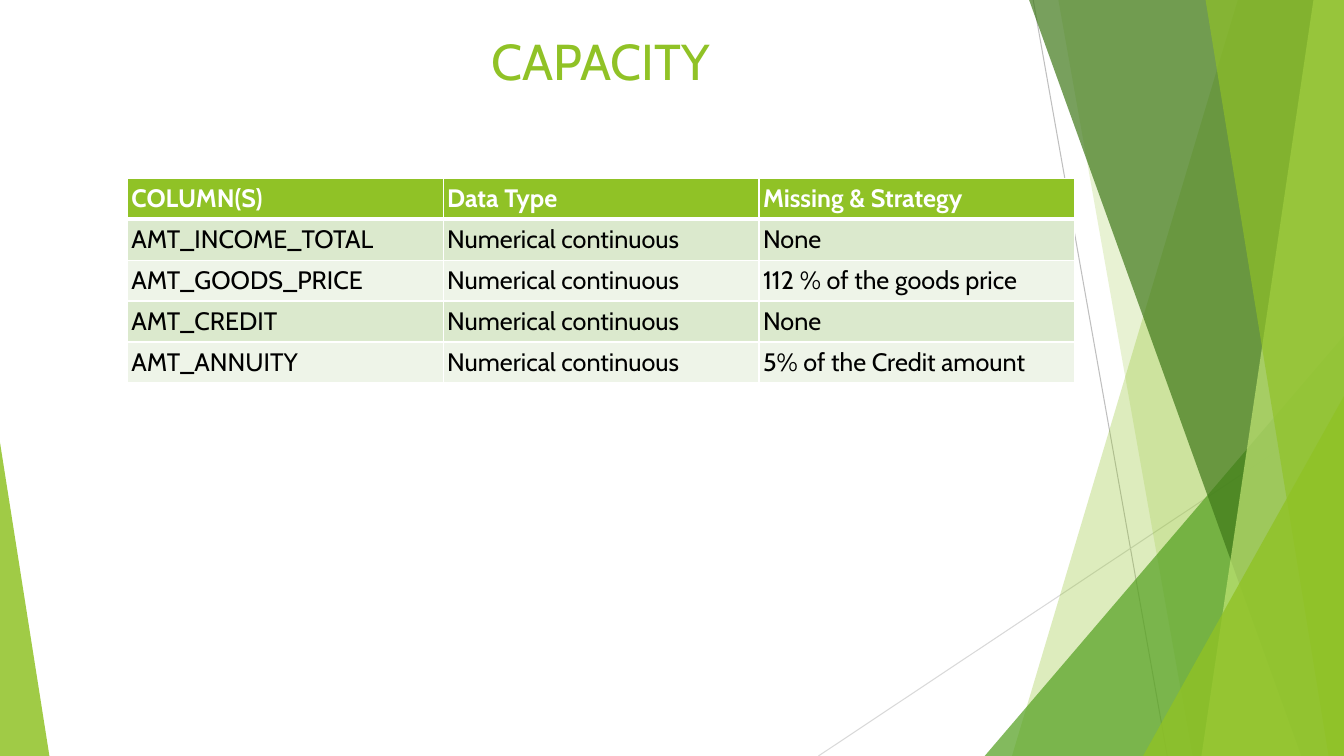
from lxml import etree
from pptx import Presentation
from pptx import util as u
from pptx.dml import color
from pptx.enum import shapes, text
from pptx.oxml import ns

COLORS = {
    "white": "FFFFFF", "black": "000000",
    "lime": "90C226", "green": "54A021", "forest": "3F7819", "pale": "C0E474",
    "grey": "BFBFBF", "light grey": "D9D9D9",
    "band dark": "DBE9CD", "band light": "EEF4E8",
}
FONT = "Cabin"
WIDTH, HEIGHT = 960, 540


def paint(shape, name, opacity):
    """Give a shape a translucent fill without outline or shadow."""
    shape.shadow.inherit = False
    shape.line.fill.background()
    shape.fill.solid()
    shape.fill.fore_color.rgb = color.RGBColor.from_string(COLORS[name])
    rgb = shape.fill._xPr.find(".//" + ns.qn("a:srgbClr"))
    etree.SubElement(rgb, ns.qn("a:alpha"), val=str(opacity * 1000))


def write(paragraph, wording, size, name, bold=False):
    run = paragraph.add_run()
    run.text = wording
    run.font.name = FONT
    run.font.size = u.Pt(size)
    run.font.bold = bold
    run.font.color.rgb = color.RGBColor.from_string(COLORS[name])


presentation = Presentation()
presentation.slide_width = u.Pt(WIDTH)
presentation.slide_height = u.Pt(HEIGHT)
slide = presentation.slides.add_slide(presentation.slide_layouts[5])

# Thin crossing lines
for x1, y1, x2, y2, name in [
    (738, 0, 833.8, HEIGHT, "grey"),
    (WIDTH, 290.2, 584.6, HEIGHT, "light grey"),
]:
    line = slide.shapes.add_connector(
        shapes.MSO_CONNECTOR.STRAIGHT, u.Pt(x1), u.Pt(y1), u.Pt(x2), u.Pt(y2))
    line.line.width = u.Pt(0.75)
    line.line.color.rgb = color.RGBColor.from_string(COLORS[name])
    etree.SubElement(line._element.spPr, ns.qn("a:effectLst"))

# Facets: bands (top x, bottom x) run to the right edge;
# triangles (left, top, width, apex) stand on the bottom edge
for kind, measures, name, opacity in [
    ("band", (884.2, 722.9), "lime", 30),
    ("band", (756, 851.8), "lime", 20),
    ("triangle", (703.4, 239.8, 256.6, 1), "green", 72),
    ("band", (735.1, 929.5), "forest", 70),
    ("band", (938.2, 858.2), "pale", 70),
    ("band", (861.1, 949), "lime", 65),
    ("triangle", (816.5, 283, 143.5, 1), "lime", 80),
    ("triangle", (0, 316.1, 35.3, 0), "lime", 85),
]:
    if kind == "band":
        top_x, bottom_x = measures
        outline = slide.shapes.build_freeform(u.Pt(top_x), 0)
        outline.add_line_segments(
            [(u.Pt(x), u.Pt(y)) for x, y in
             [(WIDTH, 0), (WIDTH, HEIGHT), (bottom_x, HEIGHT)]], close=True)
        facet = outline.convert_to_shape()
    else:
        left, top, width, apex = measures
        facet = slide.shapes.add_shape(
            shapes.MSO_SHAPE.ISOSCELES_TRIANGLE,
            u.Pt(left), u.Pt(top), u.Pt(width), u.Pt(HEIGHT - top))
        facet.adjustments[0] = apex
    paint(facet, name, opacity)

# Title, brought in front of the facets
title = slide.shapes.title
slide.shapes._spTree.append(title._element)
title.left, title.top = u.Pt(15), u.Pt(18)
title.width, title.height = u.Pt(828), u.Pt(63.4)
frame = title.text_frame
frame.auto_size = text.MSO_AUTO_SIZE.NONE
frame.vertical_anchor = text.MSO_ANCHOR.TOP
frame.paragraphs[0].alignment = text.PP_ALIGN.CENTER
write(frame.paragraphs[0], "CAPACITY", 36, "lime")

# Table
rows = [
    ("COLUMN(S)", "Data Type", "Missing & Strategy"),
    ("AMT_INCOME_TOTAL", "Numerical continuous", "None"),
    ("AMT_GOODS_PRICE", "Numerical continuous", "112 % of the goods price"),
    ("AMT_CREDIT", "Numerical continuous", "None"),
    ("AMT_ANNUITY", "Numerical continuous", "5% of the Credit amount"),
]
COLUMN_WIDTH, ROW_HEIGHT = 225.6, 29.25
table = slide.shapes.add_table(
    len(rows), 3, u.Pt(91), u.Pt(127.4),
    u.Pt(3 * COLUMN_WIDTH), u.Pt(len(rows) * ROW_HEIGHT)).table
for column in table.columns:
    column.width = u.Pt(COLUMN_WIDTH)
for r, wordings in enumerate(rows):
    header = r == 0
    fill = "lime" if header else "band dark" if r % 2 else "band light"
    table.rows[r].height = u.Pt(ROW_HEIGHT)
    for c, wording in enumerate(wordings):
        cell = table.cell(r, c)
        cell.margin_left = cell.margin_right = u.Pt(2.9)
        cell.margin_top = cell.margin_bottom = u.Pt(2.9)
        cell.vertical_anchor = text.MSO_ANCHOR.MIDDLE
        # White borders, thick between the header and the body
        for side in ("L", "R", "T", "B"):
            thick = (r, side) in [(0, "B"), (1, "T")]
            border = etree.SubElement(
                cell._tc.tcPr, ns.qn("a:ln" + side), w=str(u.Pt(3 if thick else 1)))
            solid = etree.SubElement(border, ns.qn("a:solidFill"))
            etree.SubElement(solid, ns.qn("a:srgbClr"), val=COLORS["white"])
        cell.fill.solid()
        cell.fill.fore_color.rgb = color.RGBColor.from_string(COLORS[fill])
        write(cell.text_frame.paragraphs[0], wording, 18,
              "white" if header else "black", header)

presentation.save("out.pptx")
